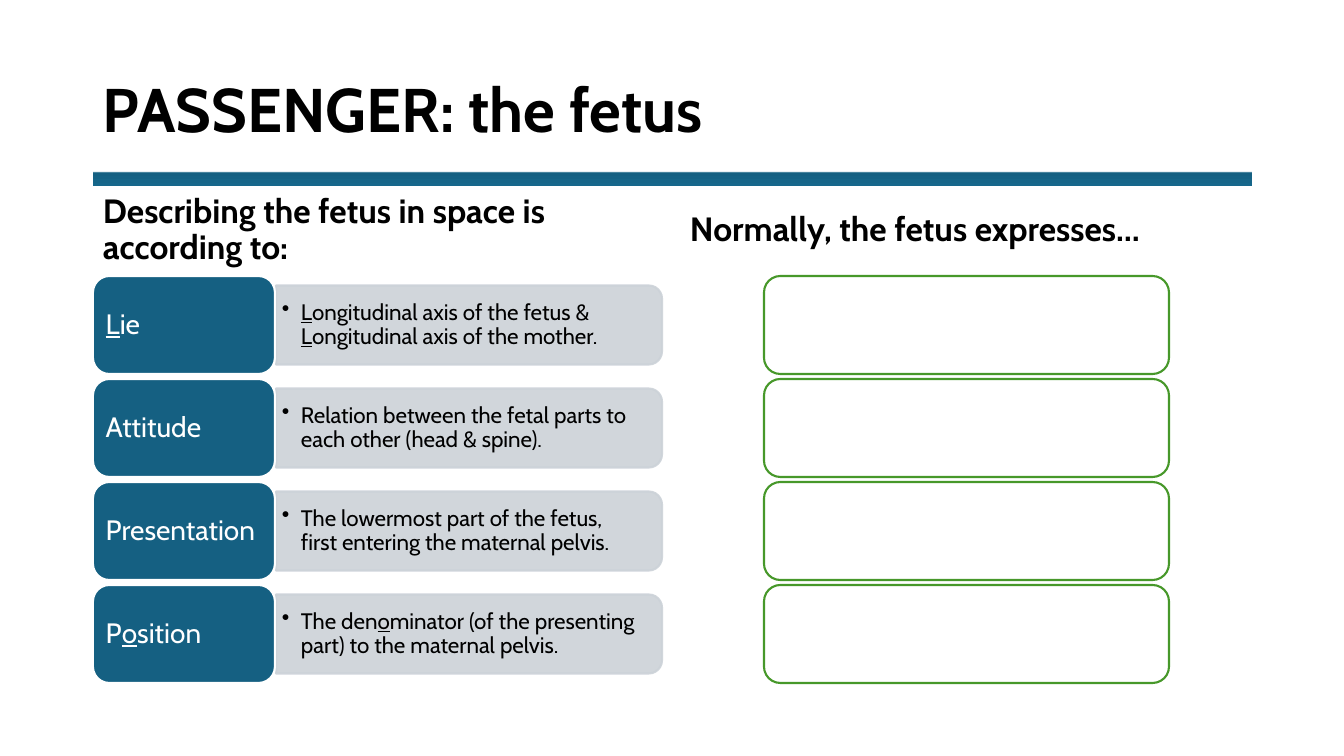
import pptx
import pptx.dml.color
import pptx.enum.shapes
import pptx.enum.text
import pptx.oxml
import pptx.oxml.ns
import pptx.util
import copy

TITLE = "PASSENGER: the fetus"
HEADINGS = [
    ("Describing the fetus in space is according to:", 93, 568),
    ("Normally, the fetus expresses…", 680, 572),
]
TERMS = [
    ("_L_ie", "_L_ongitudinal axis of the fetus &\n_L_ongitudinal axis of the mother."),
    ("Attitude", "Relation between the fetal parts to each other (head & spine)."),
    ("Presentation", "The lowermost part of the fetus,\nfirst entering the maternal pelvis."),
    ("P_o_sition", "The den_o_minator (of the presenting part) to the maternal pelvis."),
]
FONT = "Cabin"
BLUE, GREY, GREEN, WHITE, BLACK = "156082", "CCD2D8", "47982A", "FFFFFF", "000000"
PX = 914400 / 100.8
ROW_TOP, ROW_PITCH, ROW_HEIGHT = 276, 103, 98
LABEL_LEFT, LABEL_WIDTH = 93, 182
BAR_LEFT, BAR_WIDTH, BAR_HEIGHT = 276, 386, 79
DETAIL_WIDTH, DETAIL_HEIGHT = 382, 71
ANSWER_LEFT, ANSWER_WIDTH = 764, 405

SHAPES = pptx.enum.shapes.MSO_SHAPE
qn = pptx.oxml.ns.qn


def px(length):
    return pptx.util.Emu(round(length * PX))


def color(value):
    return pptx.dml.color.RGBColor.from_string(value)


def write(shape, text, size, ink=BLACK, bold=False, inset=(10, 5), bullet=False):
    frame = shape.text_frame
    frame.word_wrap = True
    frame.vertical_anchor = pptx.enum.text.MSO_ANCHOR.MIDDLE
    frame.margin_left = frame.margin_right = px(inset[0])
    frame.margin_top = frame.margin_bottom = px(inset[1])
    para = frame.paragraphs[0]
    para.alignment = pptx.enum.text.PP_ALIGN.LEFT
    para.line_spacing = 0.9
    if bullet:
        properties = para._p.get_or_add_pPr()
        properties.set("marL", str(px(19)))
        properties.set("indent", str(px(-19)))
        mark = pptx.oxml.parse_xml(
            f'<a:buChar {pptx.oxml.ns.nsdecls("a")} char="•"/>')
        properties.append(mark)
    for line_number, line in enumerate(text.split("\n")):
        if line_number:
            para.add_line_break()
        for part_number, part in enumerate(line.split("_")):
            if part:
                span = para.add_run()
                span.text = part
                span.font.name = FONT
                span.font.size = pptx.util.Pt(size)
                span.font.bold = bold
                span.font.underline = part_number % 2 == 1
                span.font.color.rgb = color(ink)


def add_box(page, kind, left, top, width, height, fill, line=None):
    box = page.shapes.add_shape(kind, px(left), px(top), px(width), px(height))
    box.shadow.inherit = False
    box.fill.solid()
    box.fill.fore_color.rgb = color(fill)
    if line:
        box.line.color.rgb = color(line)
        box.line.width = pptx.util.Pt(1.5)
    else:
        box.line.fill.background()
    return box


def add_text(page, left, top, width, height, text, size, **style):
    box = page.shapes.add_textbox(px(left), px(top), px(width), px(height))
    write(box, text, size, **style)


def add_title(page):
    box = add_box(page, SHAPES.RECTANGLE, 93, 40, 1159, 146, WHITE)
    box.fill.gradient()
    box.fill.gradient_angle = 90
    stops = box.fill._fill._gradFill.find(qn("a:gsLst"))
    stops.append(copy.deepcopy(stops[-1]))
    bands = [("16678B", 0), (BLUE, 0.09), (WHITE, 0.1)]
    for stop, (shade, position) in zip(box.fill.gradient_stops, bands):
        stop.color.rgb = color(shade)
        stop.position = position
    write(box, TITLE, 44, bold=True)


def add_term(page, top, label, detail):
    middle = top + ROW_HEIGHT / 2
    bar = add_box(page, SHAPES.ROUND_2_SAME_RECTANGLE,
                  BAR_LEFT + (BAR_WIDTH - BAR_HEIGHT) / 2, middle - BAR_WIDTH / 2,
                  BAR_HEIGHT, BAR_WIDTH, GREY, GREY)
    bar.rotation = 90
    for paint in bar._element.spPr.iter(qn("a:srgbClr")):
        paint.append(pptx.oxml.parse_xml(
            f'<a:alpha {pptx.oxml.ns.nsdecls("a")} val="90000"/>'))
    add_text(page, BAR_LEFT - 1, middle - DETAIL_HEIGHT / 2, DETAIL_WIDTH, DETAIL_HEIGHT,
             detail, 16, inset=(7, 3), bullet=True)
    tile = add_box(page, SHAPES.ROUNDED_RECTANGLE, LABEL_LEFT, top,
                   LABEL_WIDTH, ROW_HEIGHT, BLUE, WHITE)
    write(tile, label, 20, ink=WHITE, inset=(8, 4))


def main():
    deck = pptx.Presentation()
    deck.slide_width, deck.slide_height = px(1344), px(756)
    page = deck.slides.add_slide(deck.slide_layouts[6])
    add_title(page)
    for heading, left, width in HEADINGS:
        add_text(page, left, 185, width, 91, heading, 24, bold=True)
    for row, (label, detail) in enumerate(TERMS):
        top = ROW_TOP + row * ROW_PITCH
        add_term(page, top, label, detail)
        add_box(page, SHAPES.ROUNDED_RECTANGLE, ANSWER_LEFT, top,
                ANSWER_WIDTH, ROW_HEIGHT, WHITE, GREEN)
    deck.save("out.pptx")


if __name__ == "__main__":
    main()
